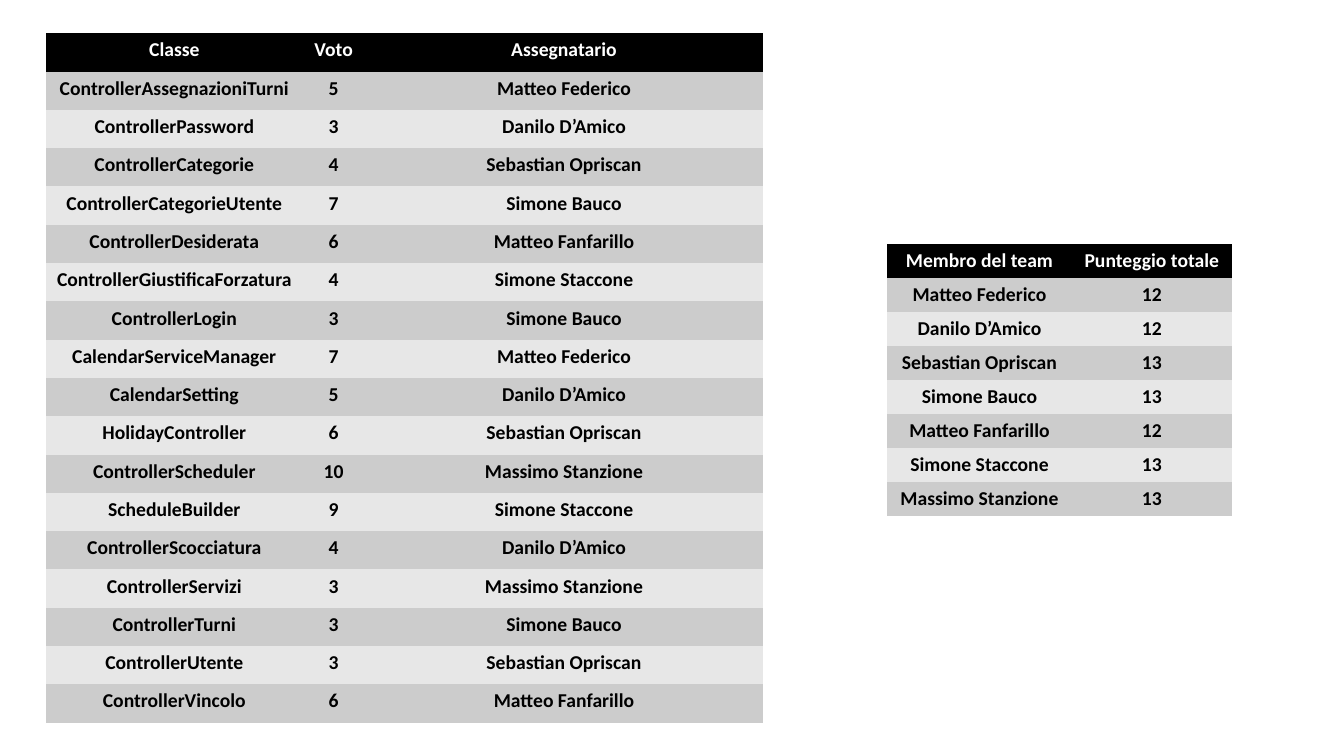
from pptx import Presentation
from pptx import util as u
from pptx.dml import color
from pptx.enum import text
from pptx.oxml import ns

PX = u.Inches(1) // 100
COLOURS = {
    "header": "000000",
    "header_text": "FFFFFF",
    "odd_row": "CCCCCC",
    "even_row": "E7E7E7",
    "row_text": "000000",
}
FONT = "Calibri"
PLAIN_STYLE = "{2D5ABB26-0587-4C30-8999-92F81FD0307C}"

ASSIGNMENTS = [
    ("Classe", "Voto", "Assegnatario"),
    ("ControllerAssegnazioniTurni", "5", "Matteo Federico"),
    ("ControllerPassword", "3", "Danilo D’Amico"),
    ("ControllerCategorie", "4", "Sebastian Opriscan"),
    ("ControllerCategorieUtente", "7", "Simone Bauco"),
    ("ControllerDesiderata", "6", "Matteo Fanfarillo"),
    ("ControllerGiustificaForzatura", "4", "Simone Staccone"),
    ("ControllerLogin", "3", "Simone Bauco"),
    ("CalendarServiceManager", "7", "Matteo Federico"),
    ("CalendarSetting", "5", "Danilo D’Amico"),
    ("HolidayController", "6", "Sebastian Opriscan"),
    ("ControllerScheduler", "10", "Massimo Stanzione"),
    ("ScheduleBuilder", "9", "Simone Staccone"),
    ("ControllerScocciatura", "4", "Danilo D’Amico"),
    ("ControllerServizi", "3", "Massimo Stanzione"),
    ("ControllerTurni", "3", "Simone Bauco"),
    ("ControllerUtente", "3", "Sebastian Opriscan"),
    ("ControllerVincolo", "6", "Matteo Fanfarillo"),
]
TOTALS = [
    ("Membro del team", "Punteggio totale"),
    ("Matteo Federico", "12"),
    ("Danilo D’Amico", "12"),
    ("Sebastian Opriscan", "13"),
    ("Simone Bauco", "13"),
    ("Matteo Fanfarillo", "12"),
    ("Simone Staccone", "13"),
    ("Massimo Stanzione", "13"),
]


def rgb(name):
    """Return the named colour."""
    return color.RGBColor.from_string(COLOURS[name])


def fill_cell(cell, words, fill, ink):
    """Write centred bold words on a solid cell."""
    cell.fill.solid()
    cell.fill.fore_color.rgb = rgb(fill)
    cell.margin_left = cell.margin_right = 5 * PX
    para = cell.text_frame.paragraphs[0]
    para.alignment = text.PP_ALIGN.CENTER
    span = para.add_run()
    span.text = words
    span.font.name = FONT
    span.font.size = u.Pt(14)
    span.font.bold = True
    span.font.color.rgb = rgb(ink)


def add_score_table(page, box, widths, records):
    """Place a striped table in the box, with equal rows and a dark header."""
    left, top, width, height = (length * PX for length in box)
    frame = page.shapes.add_table(
        len(records), len(widths), left, top, width, height)
    table = frame.table
    frame._element.find(".//" + ns.qn("a:tableStyleId")).text = PLAIN_STYLE
    for column, column_width in zip(table.columns, widths):
        column.width = column_width * PX
    for number, record in enumerate(records):
        table.rows[number].height = height // len(records)
        if number == 0:
            fill, ink = "header", "header_text"
        else:
            fill, ink = "odd_row" if number % 2 else "even_row", "row_text"
        for position, words in enumerate(record):
            fill_cell(table.cell(number, position), words, fill, ink)


def main():
    """Build the slide with assignments on the left and totals on the right."""
    deck = Presentation()
    deck.slide_width, deck.slide_height = u.Inches(13.33), u.Inches(7.5)
    page = deck.slides.add_slide(deck.slide_layouts[6])
    add_score_table(page, (46, 33, 711, 684), (254, 62, 395), ASSIGNMENTS)
    add_score_table(page, (880, 242, 342, 267), (183, 159), TOTALS)
    deck.save("out.pptx")


if __name__ == "__main__":
    main()
